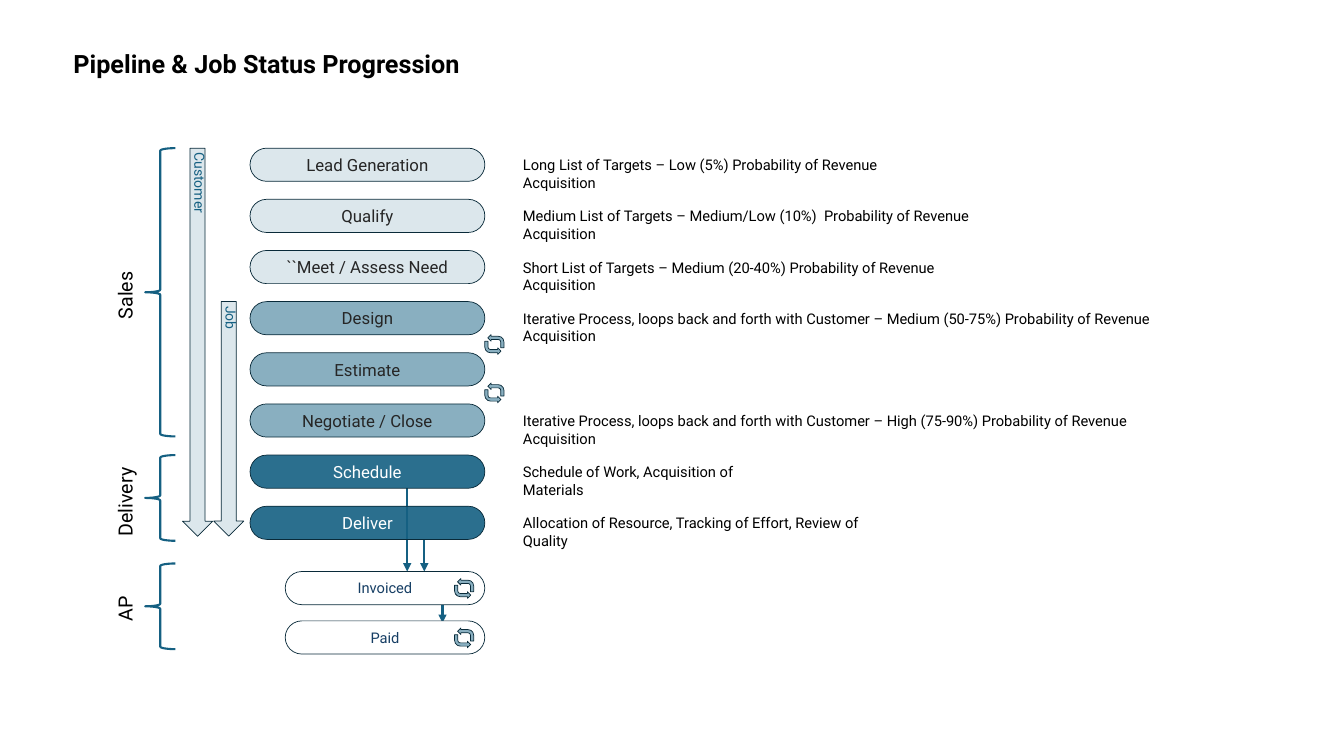
from lxml import etree
from pptx import Presentation
from pptx import util as u
from pptx.dml.color import RGBColor
from pptx.enum import shapes, text
from pptx.oxml.ns import qn

COLORS = {"teal": "156082", "outline": "092A39", "black": "000000", "dark": "262626",
          "white": "FFFFFF", "navy": "163E64"}
COLUMNS, ROWS = 160, 90  # grid cells across and down the slide
FONT = "Roboto"
SHAPE = shapes.MSO_SHAPE


def write_text(shape, words, size=10.5, color="black", bold=False, align=text.PP_ALIGN.LEFT,
               anchor=text.MSO_ANCHOR.TOP, wrap=True):
    frame = shape.text_frame
    frame.word_wrap = wrap
    frame.vertical_anchor = anchor
    paragraph = frame.paragraphs[0]
    paragraph.alignment = align
    run = paragraph.add_run()
    run.text = words
    run.font.name, run.font.size, run.font.bold = FONT, u.Pt(size), bold
    run.font.color.rgb = RGBColor.from_string(COLORS[color])


class Board:
    def __init__(self, presentation):
        self.slide = presentation.slides.add_slide(presentation.slide_layouts[6])
        self.column = presentation.slide_width / COLUMNS
        self.row = presentation.slide_height / ROWS

    def box(self, left, top, width, height):
        return [u.Emu(round(length * cell)) for length, cell in
                zip((left, top, width, height), (self.column, self.row) * 2)]

    def shape(self, kind, area, fill=None, opacity=100, line="outline", weight=0.5, parent=None):
        shape = (parent or self.slide).shapes.add_shape(kind, *self.box(*area))
        shape.shadow.inherit = False
        shape.line.color.rgb = RGBColor.from_string(COLORS[line])
        shape.line.width = u.Pt(weight)
        if fill is None:
            shape.fill.background()
            return shape
        shape.fill.solid()
        shape.fill.fore_color.rgb = RGBColor.from_string(COLORS[fill])
        if opacity < 100:
            color = shape.element.spPr.find(qn("a:solidFill"))[0]
            etree.SubElement(color, qn("a:alpha"), val=str(opacity * 1000))
        return shape

    def pill(self, words, area, fill, opacity, **style):
        shape = self.shape(SHAPE.ROUNDED_RECTANGLE, area, fill, opacity)
        shape.adjustments[0] = 0.5
        write_text(shape, words, align=text.PP_ALIGN.CENTER, anchor=text.MSO_ANCHOR.MIDDLE, **style)

    def label(self, words, area, rotation=0, **style):
        textbox = self.slide.shapes.add_textbox(*self.box(*area))
        textbox.rotation = rotation
        write_text(textbox, words, **style)
        textbox.text_frame.auto_size = text.MSO_AUTO_SIZE.SHAPE_TO_FIT_TEXT

    def turned_label(self, words, center_x, center_y, length, depth, rotation, **style):
        area = (center_x - length / 2, center_y - depth / 2, length, depth)
        self.label(words, area, rotation, **style)

    def brace(self, words, top, height, length):
        self.shape(SHAPE.LEFT_BRACE, (17.28, top, 3.6, height), line="teal", weight=1.5)
        self.turned_label(words, 14.9, top + height / 2 + 0.18, length, 4.08, 270,
                          size=14, wrap=False)

    def span_arrow(self, words, left, top, bottom, length):
        self.shape(SHAPE.DOWN_ARROW, (left, top, 3.6, bottom - top), "teal", 15)
        self.turned_label(words, left + 2.06, top - 0.66 + length / 2, length, 3.24, 90,
                          size=10, color="teal", wrap=False)

    def loop(self, left, top):
        group = self.slide.shapes.add_group_shape()
        for across, down, flip in ((0.36, 0, "flipH"), (0, 0.8, "flipV")):
            area = (left + across, top + down, 1.92, 1.56)
            arrow = self.shape(SHAPE.BENT_ARROW, area, "teal", 50, parent=group)
            arrow.element.spPr.find(qn("a:xfrm")).set(flip, "1")

    def drop(self, x, top, bottom):
        start_x, start_y, end_x, end_y = self.box(x, top, x, bottom)
        connector = self.slide.shapes.add_connector(
            shapes.MSO_CONNECTOR.STRAIGHT, start_x, start_y, end_x, end_y)
        connector.line.color.rgb = RGBColor.from_string(COLORS["teal"])
        connector.line.width = u.Pt(1.5)
        line = connector.element.spPr.find(qn("a:ln"))
        etree.SubElement(line, qn("a:tailEnd"), type="triangle")
        etree.SubElement(connector.element.spPr, qn("a:effectLst"))


# Stage name, opacity, text colour, note, note width
STAGES = [
    ("Lead Generation", 15, "dark",
     "Long List of Targets – Low (5%) Probability of Revenue Acquisition", 52.9),
    ("Qualify", 15, "dark",
     "Medium List of Targets – Medium/Low (10%)  Probability of Revenue Acquisition", 63.3),
    ("``Meet / Assess Need", 15, "dark",
     "Short List of Targets – Medium (20-40%) Probability of Revenue Acquisition", 59.6),
    ("Design", 50, "dark", "Iterative Process, loops back and forth with Customer – "
     "Medium (50-75%) Probability of Revenue Acquisition", 85),
    ("Estimate", 50, "dark", None, 0),
    ("Negotiate / Close", 50, "dark", "Iterative Process, loops back and forth with Customer – "
     "High (75-90%) Probability of Revenue Acquisition", 82.4),
    ("Schedule", 90, "white", "Schedule of Work, Acquisition of Materials", 34.3),
    ("Deliver", 90, "white",
     "Allocation of Resource, Tracking of Effort, Review of Quality", 47.5),
]
FIRST_TOP, STEP, PILL_HEIGHT = 17.64, 6.09, 3.95
PAYMENT_TOPS = {"Invoiced": 68.04, "Paid": 73.92}


def stage_top(index):
    return FIRST_TOP + index * STEP


def main():
    presentation = Presentation()
    presentation.slide_width, presentation.slide_height = u.Inches(13.33), u.Inches(7.5)
    board = Board(presentation)

    # Title
    board.label("Pipeline & Job Status Progression", (7.56, 5.16, 51.36, 4.8),
                size=18, bold=True, wrap=False)

    # Arrows into the payment steps, behind the pills
    board.drop(48.48, stage_top(6) + PILL_HEIGHT, PAYMENT_TOPS["Invoiced"])
    board.drop(50.52, stage_top(7) + PILL_HEIGHT, PAYMENT_TOPS["Invoiced"])
    board.drop(52.68, PAYMENT_TOPS["Invoiced"] + PILL_HEIGHT, 74.16)

    # Stages and their notes
    for index, (name, opacity, color, note, width) in enumerate(STAGES):
        top = stage_top(index)
        board.pill(name, (29.76, top, 27.96, PILL_HEIGHT), "teal", opacity, size=12, color=color)
        if note:
            board.label(note, (61.08, top + 0.36, width, 3.36))

    # Phase braces
    for name, top, height, length in (("Sales", FIRST_TOP, 34.32, 8.4),
                                      ("Delivery", stage_top(6), 10.2, 11.16),
                                      ("AP", 67.08, 10.2, 5.52)):
        board.brace(name, top, height, length)

    # Customer and job spans
    board.span_arrow("Customer", 21.72, FIRST_TOP, 63.84, 10.08)
    board.span_arrow("Job", 25.44, stage_top(3), 63.84, 14.04)

    # Payment steps and loop symbols
    for name, top in PAYMENT_TOPS.items():
        board.pill(name, (33.96, top, 23.76, PILL_HEIGHT), "white", 100, color="navy")
        board.loop(54.12, top + 0.84)
    for top in (39.84, 45.6):
        board.loop(57.72, top)

    presentation.save("out.pptx")


if __name__ == "__main__":
    main()
